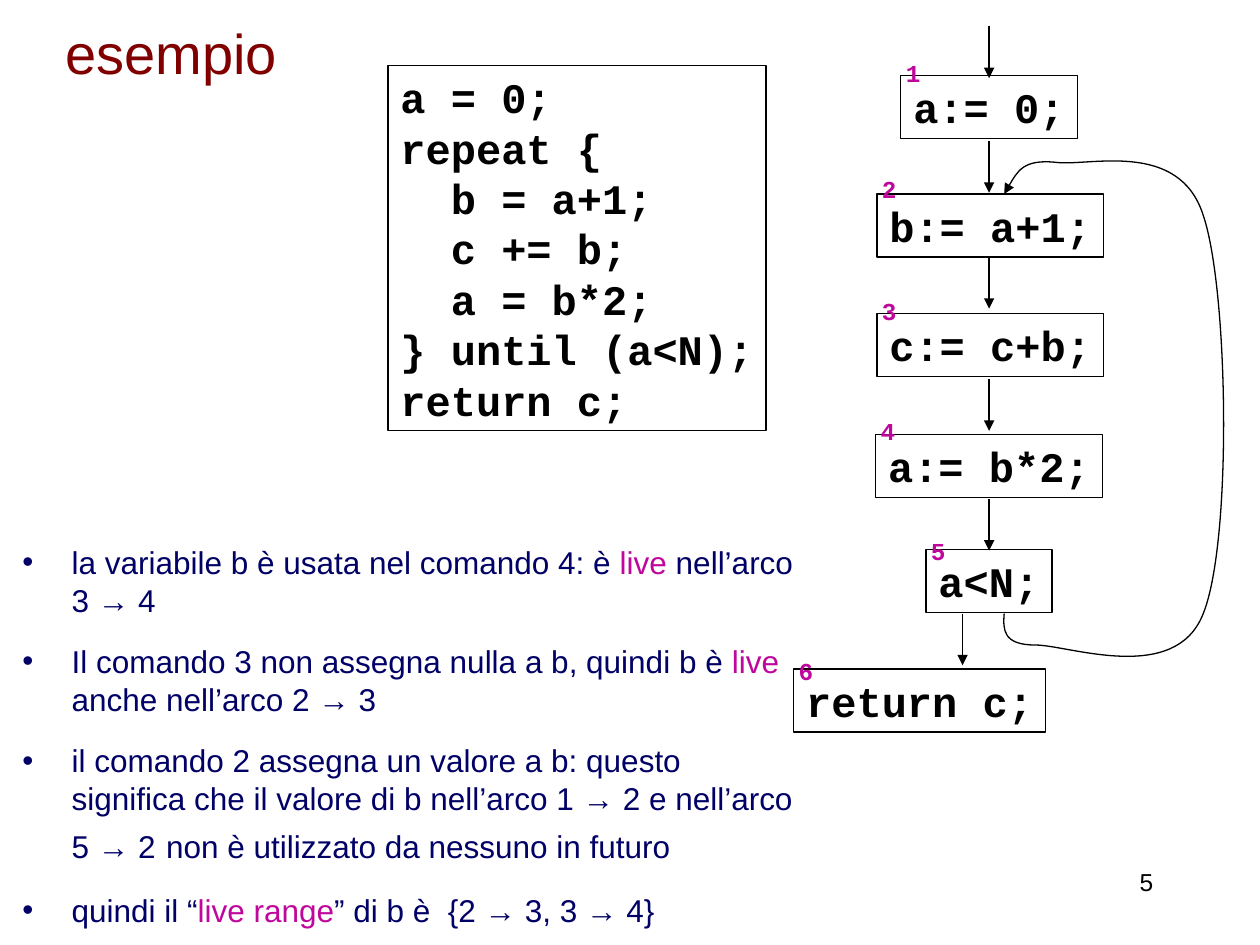
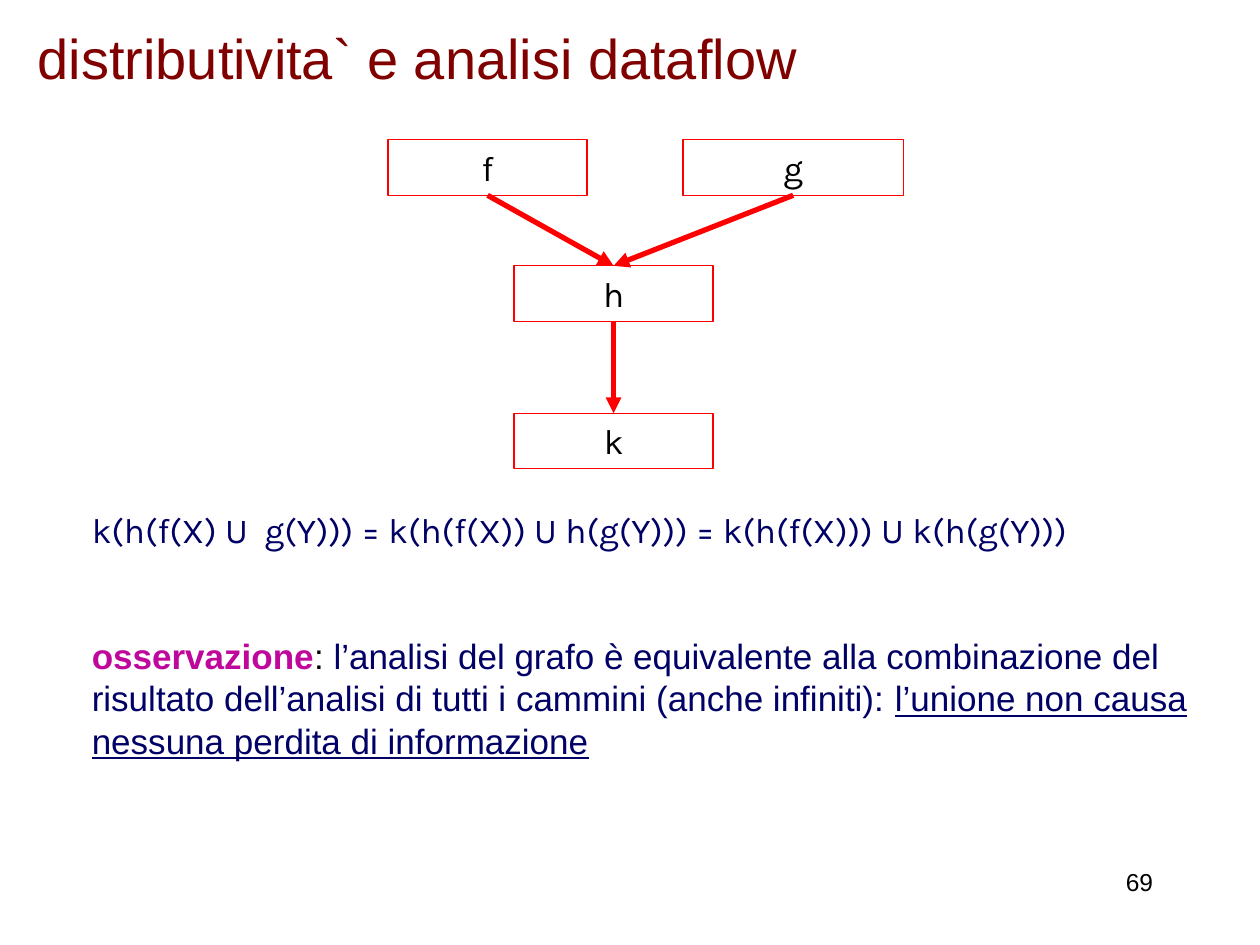
from lxml import etree
from pptx import Presentation
from pptx.dml.color import RGBColor
from pptx.enum.shapes import MSO_CONNECTOR, MSO_SHAPE
from pptx.enum.text import MSO_ANCHOR, PP_ALIGN
from pptx.oxml.ns import qn
from pptx.util import Inches, Pt

RECTANGLE = MSO_SHAPE.RECTANGLE
STRAIGHT = MSO_CONNECTOR.STRAIGHT
TOP, MIDDLE = MSO_ANCHOR.TOP, MSO_ANCHOR.MIDDLE
LEFT, CENTER, RIGHT = PP_ALIGN.LEFT, PP_ALIGN.CENTER, PP_ALIGN.RIGHT

BLACK = RGBColor(0x00, 0x00, 0x00)
MAROON = RGBColor(0x80, 0x00, 0x00)
NAVY = RGBColor(0x00, 0x00, 0x66)
MAGENTA = RGBColor(0xBF, 0x07, 0x9C)
RED = RGBColor(0xFF, 0x00, 0x00)

SANS, MONO, ROUND, SERIF = "Arial", "Courier New", "Karla", "Times New Roman"
COLUMNS, ROWS = 10, 7.5
CODE_CHAR, CODE_LINE = 0.2, 0.4  # grid size of one 24 pt code character
HANGING = Inches(0.39)
LIVE = {"color": MAGENTA}


def set_font(font, name=None, size=None, color=None, bold=None, underline=None):
    if name:
        font.name = name
    if size:
        font.size = Pt(size)
    if color is not None:
        font.color.rgb = color
    if bold is not None:
        font.bold = bold
    if underline is not None:
        font.underline = underline


class Deck:
    """Shared style and the slide being drawn; positions are grid columns and rows."""

    def __init__(self):
        self.presentation = Presentation()
        self.presentation.slide_width = Inches(10)
        self.presentation.slide_height = Inches(7.5)
        self.column = self.presentation.slide_width / COLUMNS
        self.row = self.presentation.slide_height / ROWS
        self.slide = None

    def new_slide(self, title, title_area, number):
        blank = self.presentation.slide_layouts[6]
        self.slide = self.presentation.slides.add_slide(blank)
        self.text(title_area, [title], anchor=MIDDLE, name=SANS, size=32, color=MAROON)
        self.text((7.17, 6.83, 2.08, 0.5), [number], align=RIGHT,
                  name=SANS, size=14, color=BLACK)

    def point(self, x, y):
        return round(x * self.column), round(y * self.row)

    def area(self, left, top, width, height):
        return *self.point(left, top), *self.point(width, height)

    def fill_text(self, frame, paragraphs, anchor=TOP, align=LEFT, gap=0,
                  bullets=False, wrap=True, **font):
        """Each paragraph is a string or a list of strings and (string, font) pairs."""
        frame.word_wrap = wrap
        frame.vertical_anchor = anchor
        for index, pieces in enumerate(paragraphs):
            paragraph = frame.add_paragraph() if index else frame.paragraphs[0]
            if bullets:
                self.add_bullet(paragraph)
            paragraph.alignment = align
            if index and gap:
                paragraph.space_before = Pt(gap)
            set_font(paragraph.font, **font)
            for piece in [pieces] if isinstance(pieces, str) else pieces:
                if piece == "\n":
                    paragraph.add_line_break()
                    continue
                words, emphasis = (piece, {}) if isinstance(piece, str) else piece
                run = paragraph.add_run()
                run.text = words
                set_font(run.font, **emphasis)

    def add_bullet(self, paragraph):
        properties = paragraph._p.get_or_add_pPr()
        properties.set("marL", str(HANGING))
        properties.set("indent", str(-HANGING))
        etree.SubElement(properties, qn("a:buFont"), typeface=SANS)
        etree.SubElement(properties, qn("a:buChar"), char="•")

    def text(self, area, paragraphs, **style):
        frame = self.slide.shapes.add_textbox(*self.area(*area)).text_frame
        self.fill_text(frame, paragraphs, **style)
        return frame

    def box(self, area, paragraphs, line, **style):
        shape = self.slide.shapes.add_shape(RECTANGLE, *self.area(*area))
        shape.shadow.inherit = False
        shape.fill.background()
        self.stroke(shape.line, line)
        self.fill_text(shape.text_frame, paragraphs, **style)

    def code(self, left, top, lines):
        """A frame that fits its lines of code exactly."""
        width = max(map(len, lines)) * CODE_CHAR + 0.2
        height = len(lines) * CODE_LINE + 0.1
        self.box((left, top, width, height), lines, BLACK, wrap=False,
                 name=MONO, size=24, color=BLACK, bold=True)

    def step_number(self, left, top, number):
        frame = self.text((left, top, 0.35, 0.5), [str(number)],
                          name=MONO, size=24, color=MAGENTA, bold=True)
        run = frame.paragraphs[0].runs[0]
        run._r.get_or_add_rPr().set("baseline", "30000")

    def stroke(self, line, color, width=0.75, arrow=False):
        line.color.rgb = color
        line.width = Pt(width)
        if arrow:
            etree.SubElement(line._get_or_add_ln(), qn("a:tailEnd"), type="triangle")

    def arrow(self, start, end, color=BLACK, width=0.75):
        link = self.slide.shapes.add_connector(
            STRAIGHT, *self.point(*start), *self.point(*end))
        self.stroke(link.line, color, width, arrow=True)
        etree.SubElement(link._element.spPr, qn("a:effectLst"))

    def curved_arrow(self, start, *controls):
        """Controls come in threes, each three making one Bézier segment."""
        builder = self.slide.shapes.build_freeform(*self.point(*start))
        builder.add_line_segments([self.point(*c) for c in controls], close=False)
        curve = builder.convert_to_shape()
        corners = list(curve._element.iter(qn("a:lnTo")))
        for first in range(0, len(corners), 3):
            segment = etree.Element(qn("a:cubicBezTo"))
            corners[first].addprevious(segment)
            for corner in corners[first:first + 3]:
                segment.append(corner[0])
                corner.getparent().remove(corner)
        curve.shadow.inherit = False
        curve.fill.background()
        self.stroke(curve.line, BLACK, arrow=True)


def live_range_slide(deck):
    deck.new_slide("esempio", (0.42, 0.09, 4.42, 0.64), "5")
    deck.code(3.08, 0.52, ["a = 0;", "repeat {", "  b = a+1;", "  c += b;",
                           "  a = b*2;", "} until (a<N);", "return c;"])

    # code, left, top, top of its number, position of the arrow that enters it
    steps = [
        ("a:= 0;", 7.15, 0.6, 0.37, (7.85, 0.21)),
        ("b:= a+1;", 6.96, 1.54, 1.29, (7.85, 1.12)),
        ("c:= c+b;", 6.96, 2.49, 2.26, (7.85, 2.04)),
        ("a:= b*2;", 6.95, 3.45, 3.21, (7.85, 3.01)),
        ("a<N;", 7.35, 4.36, 4.17, (7.85, 3.96)),
        ("return c;", 6.3, 5.31, 5.12, (7.64, 4.87)),
    ]
    for number, (code, left, top, number_top, (x, y)) in enumerate(steps, 1):
        deck.code(left, top, [code])
        deck.step_number(left - 0.06, number_top, number)
        deck.arrow((x, y), (x, y + 0.41))
    deck.curved_arrow(
        (7.97, 4.87),
        (7.96, 5), (7.96, 5.12), (8.22, 5.12),
        (8.48, 5.12), (9.33, 5.44), (9.55, 4.87),
        (9.78, 4.3), (9.75, 2.3), (9.55, 1.71),
        (9.36, 1.11), (8.65, 1.32), (8.39, 1.29),
        (8.12, 1.26), (8.05, 1.4), (7.97, 1.54))

    wide_space = (" ", {"name": SERIF, "size": 24, "color": BLACK})
    remarks = [
        ["la variabile b è usata nel comando 4: è ", ("live", LIVE), " nell’arco",
         "\n", "3 → 4"],
        ["Il comando 3 non assegna nulla a b, quindi b è ", ("live", LIVE),
         "\n", "anche nell’arco 2 → 3"],
        ["il comando 2 assegna un valore a b: questo",
         "\n", "significa che il valore di b nell’arco 1 → 2 e nell’arco",
         "\n", "5 → 2", wide_space, "non è utilizzato da nessuno in futuro"],
        ["quindi il “", ("live range", LIVE), "” di b è  {2 → 3, 3 → 4}"],
    ]
    deck.text((0.08, 4.26, 6.39, 3.16), remarks, bullets=True, gap=13.5,
              name=SANS, size=18, color=NAVY)


def distributivity_slide(deck):
    deck.new_slide("distributivita` e analisi dataflow", (0.2, 0, 9.49, 0.91), "69")
    height = 0.44
    nodes = {"f": (3.08, 1.11, 1.58), "g": (5.42, 1.11, 1.75),
             "h": (4.08, 2.11, 1.58), "k": (4.08, 3.28, 1.58)}
    for label, (left, top, width) in nodes.items():
        deck.box((left, top, width, height), [label], RED, align=CENTER,
                 name=ROUND, size=20, color=BLACK)
    for source, target in ("fh", "gh", "hk"):
        (left, top, width), (to_left, to_top, to_width) = nodes[source], nodes[target]
        deck.arrow((left + width / 2, top + height), (to_left + to_width / 2, to_top),
                   RED, 3)

    formula = "k(h(f(X) U  g(Y))) = k(h(f(X)) U h(g(Y))) = k(h(f(X))) U k(h(g(Y)))"
    remark = [
        ("osservazione", {"color": MAGENTA, "bold": True}),
        (": ", {"color": BLACK}),
        "l’analisi del grafo è equivalente alla combinazione del risultato "
        "dell’analisi di tutti i cammini (anche infiniti): ",
        ("l’unione non causa nessuna perdita di informazione", {"underline": True}),
    ]
    body = deck.text((0.63, 3.99, 9.02, 2.62), [formula, remark], gap=48,
                     name=SANS, size=20, color=NAVY)
    body.paragraphs[0].font.name = ROUND


def main():
    deck = Deck()
    live_range_slide(deck)
    distributivity_slide(deck)
    deck.presentation.save("out.pptx")


if __name__ == "__main__":
    main()
